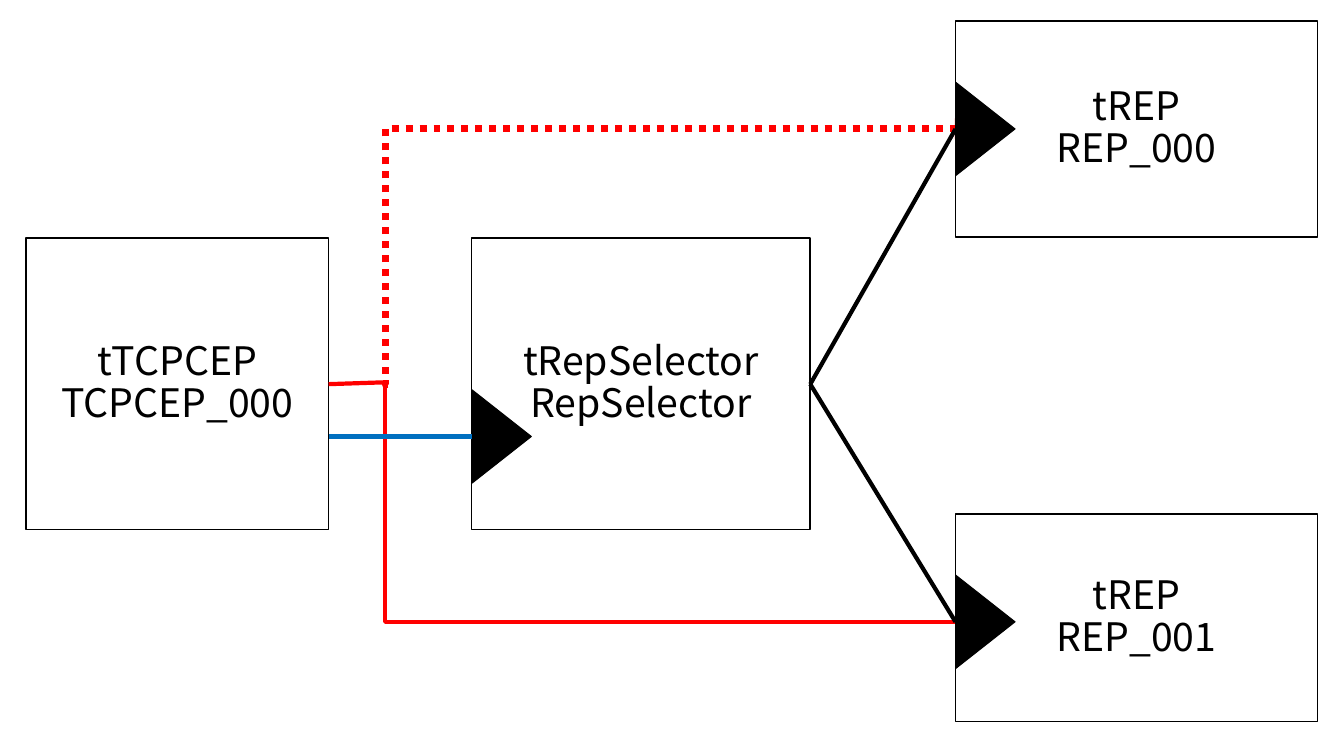
import pptx
import pptx.util
import pptx.dml.color
import pptx.enum.dml
import pptx.enum.shapes
import pptx.enum.text
import pptx.oxml
import pptx.oxml.ns

Cm = pptx.util.Cm
Pt = pptx.util.Pt
SHAPE = pptx.enum.shapes.MSO_SHAPE
CONNECTOR = pptx.enum.shapes.MSO_CONNECTOR

COLORS = {"black": "000000", "white": "FFFFFF", "red": "FF0000", "blue": "0070C0"}
FONT = "Noto Sans CJK JP"

MIDDLE_TOP, MIDDLE_HEIGHT = 6.0, 7.34
SELECTOR_LEFT, REP_LEFT, REP_WIDTH = 11.89, 24.08, 9.12
CALLER_RIGHT, SELECTOR_RIGHT = 8.28, 20.42
BRANCH_X, OUTPUT_Y = 9.7, 9.68
REP_0_Y, REP_1_Y, SELECT_Y = 3.25, 15.67, 11.0
PORT_WIDTH, PORT_DEPTH = 2.36, 1.5

CELLS = [
    (["tTCPCEP", "TCPCEP_000"], 0.66, MIDDLE_TOP, 7.62, MIDDLE_HEIGHT),
    (["tRepSelector", "RepSelector"], SELECTOR_LEFT, MIDDLE_TOP, 8.52, MIDDLE_HEIGHT),
    (["tREP", "REP_000"], REP_LEFT, 0.53, REP_WIDTH, 5.44),
    (["tREP", "REP_001"], REP_LEFT, 12.95, REP_WIDTH, 5.23),
]
ENTRY_PORTS = [(REP_LEFT, REP_0_Y), (REP_LEFT, REP_1_Y), (SELECTOR_LEFT, SELECT_Y)]
BRANCHES = [
    ((9.78, 9.7), (24.59, REP_0_Y), 5, True),
    ((9.8, 9.63), (25.6, REP_1_Y), 3, False),
]
JOINS = [
    ((SELECTOR_RIGHT, OUTPUT_Y), (REP_LEFT, REP_0_Y), "black"),
    ((SELECTOR_RIGHT, OUTPUT_Y), (REP_LEFT, REP_1_Y), "black"),
    ((CALLER_RIGHT, SELECT_Y), (SELECTOR_LEFT, SELECT_Y), "blue"),
    ((CALLER_RIGHT, OUTPUT_Y), (9.8, 9.63), "red"),
]


def rgb(name):
    return pptx.dml.color.RGBColor.from_string(COLORS[name])


def write(frame, lines, size=28, color="black", spacing=0.9):
    frame.word_wrap = True
    frame.vertical_anchor = pptx.enum.text.MSO_ANCHOR.MIDDLE
    frame.margin_left = frame.margin_right = Cm(0.18)
    frame.margin_top = frame.margin_bottom = Cm(0.1)
    for index, line in enumerate(lines):
        paragraph = frame.add_paragraph() if index else frame.paragraphs[0]
        paragraph.alignment = pptx.enum.text.PP_ALIGN.CENTER
        paragraph.line_spacing = spacing
        run = paragraph.add_run()
        run.text = line
        run.font.size = Pt(size)
        run.font.name = FONT
        run.font.color.rgb = rgb(color)
        east_asian = pptx.oxml.parse_xml(
            f'<a:ea {pptx.oxml.ns.nsdecls("a")} typeface="{FONT}"/>')
        run.font._element.append(east_asian)


def add_block(slide, kind, left, top, width, height, fill, weight):
    block = slide.shapes.add_shape(kind, Cm(left), Cm(top), Cm(width), Cm(height))
    block.shadow.inherit = False
    block.fill.solid()
    block.fill.fore_color.rgb = rgb(fill)
    block.line.color.rgb = rgb("black")
    block.line.width = Pt(weight)
    return block


def add_link(slide, kind, start, end, color, weight):
    link = slide.shapes.add_connector(kind, *map(Cm, start + end))
    link.line.color.rgb = rgb(color)
    link.line.width = Pt(weight)
    properties = link._element.spPr
    properties.append(pptx.oxml.parse_xml(f'<a:effectLst {pptx.oxml.ns.nsdecls("a")}/>'))
    return link


def add_branch(slide, start, end, weight, dotted):
    branch = add_link(slide, CONNECTOR.ELBOW, start, end, "red", weight)
    if dotted:
        branch.line.dash_style = pptx.enum.dml.MSO_LINE.ROUND_DOT
    namespace = pptx.oxml.ns.nsdecls("a")
    bend = round((BRANCH_X - start[0]) / (end[0] - start[0]) * 100000)
    guides = branch._element.spPr.prstGeom.get_or_add_avLst()
    guides.append(pptx.oxml.parse_xml(f'<a:gd {namespace} name="adj1" fmla="val {bend}"/>'))
    outline = branch.line._get_or_add_ln()
    outline.append(pptx.oxml.parse_xml(f'<a:tailEnd {namespace} type="triangle"/>'))


def main():
    """Build the component diagram slide."""
    deck = pptx.Presentation()
    deck.slide_width, deck.slide_height = Cm(33.87), Cm(19.05)
    slide = deck.slides.add_slide(deck.slide_layouts[6])
    for branch in BRANCHES:
        add_branch(slide, *branch)
    for labels, left, top, width, height in CELLS:
        cell = add_block(slide, SHAPE.RECTANGLE, left, top, width, height, "white", 1)
        write(cell.text_frame, labels)
    for edge, middle in ENTRY_PORTS:
        left = edge + (PORT_DEPTH - PORT_WIDTH) / 2
        port = add_block(slide, SHAPE.ISOSCELES_TRIANGLE, left, middle - PORT_DEPTH / 2,
                         PORT_WIDTH, PORT_DEPTH, "black", 0.75)
        port.rotation = 90
    for start, end, color in JOINS:
        add_link(slide, CONNECTOR.STRAIGHT, start, end, color, 3)
    deck.save("out.pptx")


if __name__ == "__main__":
    main()
